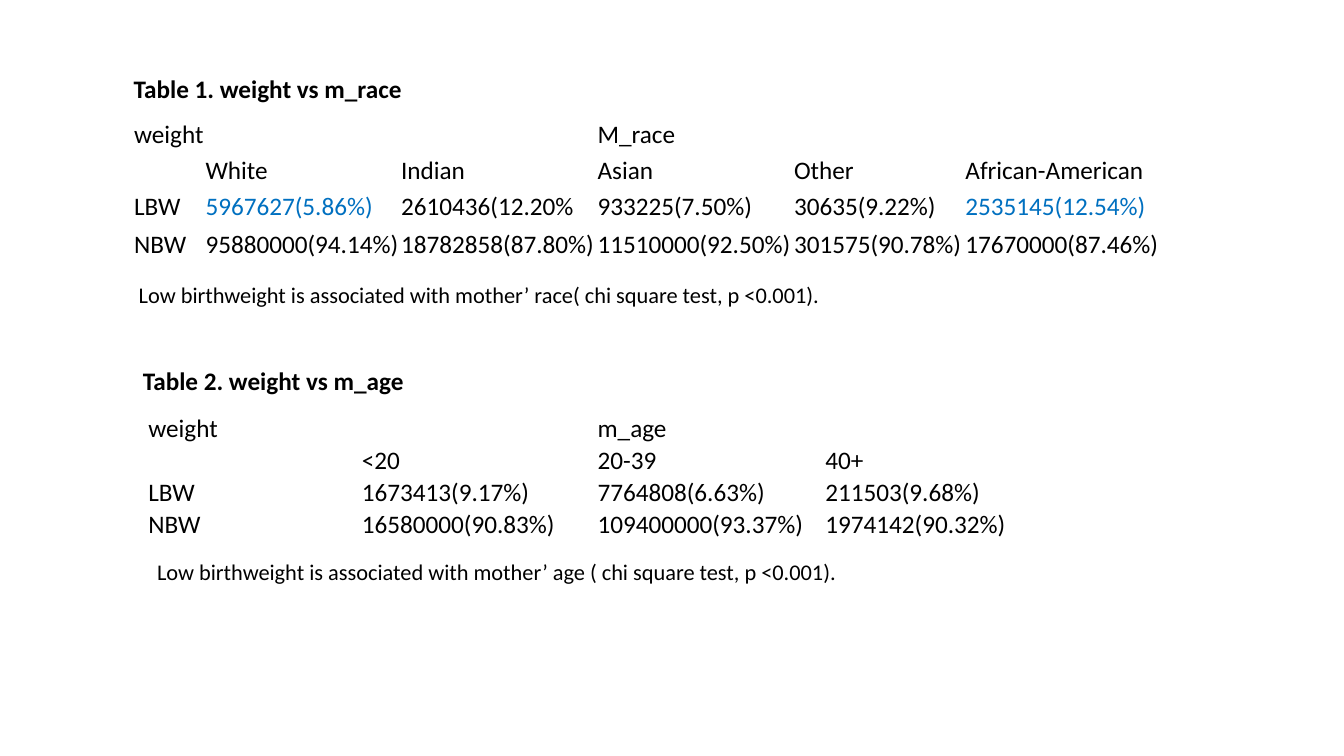
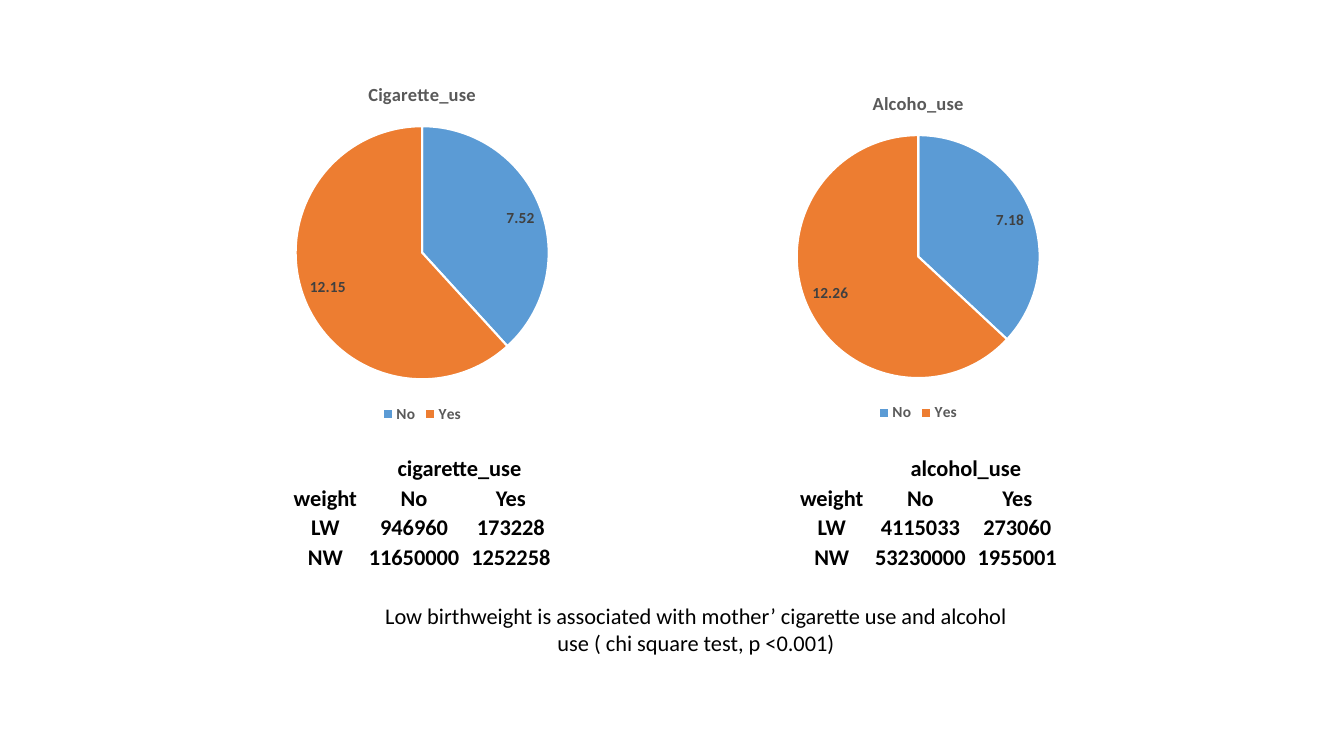
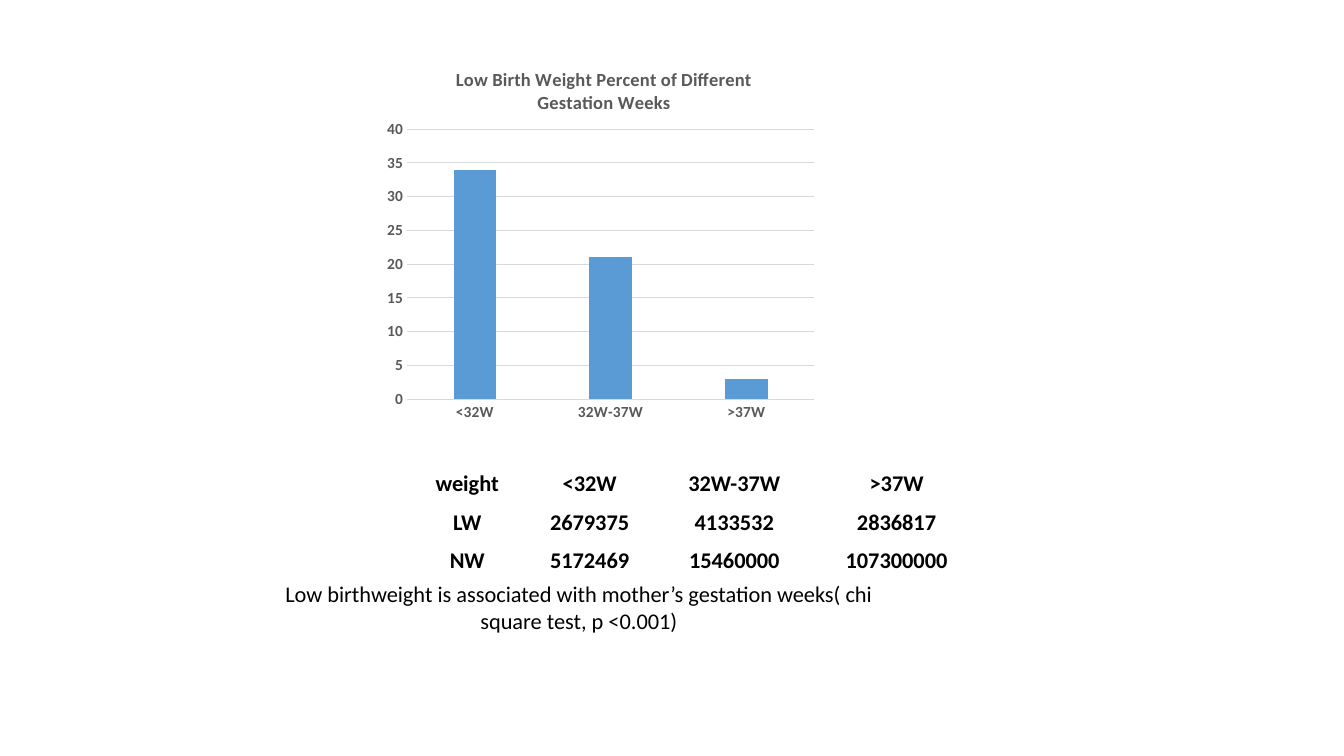
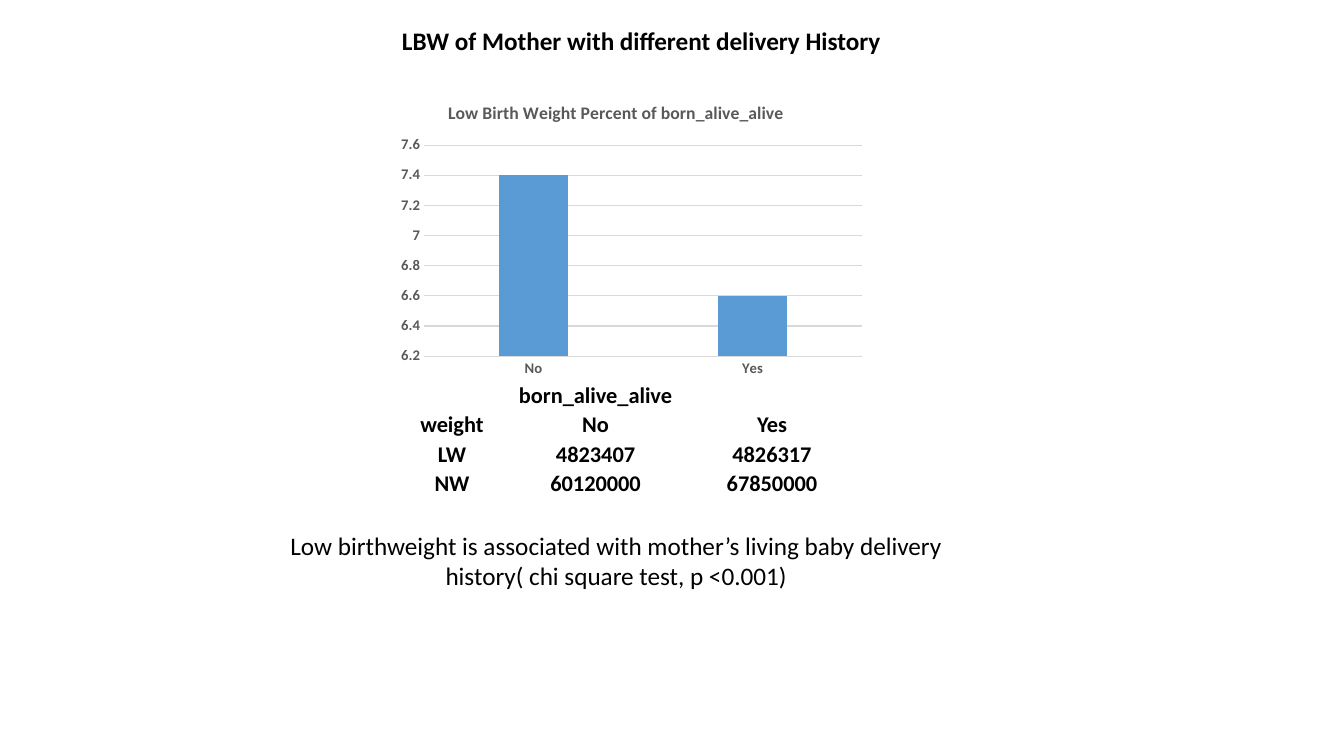
"""Build four slides on low birth weight and its associated factors."""
from dataclasses import dataclass

from lxml.etree import SubElement
from pptx import Presentation
from pptx.chart.data import CategoryChartData
from pptx.dml.color import RGBColor
from pptx.enum.chart import XL_CHART_TYPE as ChartType
from pptx.enum.chart import XL_LABEL_POSITION as LabelPosition
from pptx.enum.chart import XL_LEGEND_POSITION as LegendPosition
from pptx.enum.chart import XL_TICK_MARK as TickMark
from pptx.enum.text import MSO_ANCHOR as Anchor
from pptx.enum.text import MSO_AUTO_SIZE as AutoSize
from pptx.enum.text import PP_ALIGN as Align
from pptx.oxml.ns import qn
from pptx.util import Cm, Pt


@dataclass(frozen=True)
class Theme:
    """Hold the shared colours, type sizes and measures."""
    font: str = "Calibri"
    text: str = "000000"
    highlight: str = "0070C0"
    muted: str = "595959"
    label: str = "404040"
    grid: str = "D9D9D9"
    white: str = "FFFFFF"
    blue: str = "5B9BD5"
    orange: str = "ED7D31"
    large: float = 18
    normal: float = 16
    title_scale: float = 1.2
    cell_inset: float = 0.03


THEME = Theme()

SLIDES = [
    {
        "tables": [
            {
                "at": (3.35, 2.87), "columns": (1.8, 4.93, 4.95, 4.95, 4.32, 4.93),
                "row_heights": (0.91, 0.91, 0.91, 0.97), "merge": (0, 1),
                "highlight": {(2, 1), (2, 5)}, "large": True,
                "rows": [
                    ("weight", "", "", "M_race", "", ""),
                    ("", "White", "Indian", "Asian", "Other", "African-American"),
                    ("LBW", "5967627(5.86%)", "2610436(12.20%", "933225(7.50%)",
                     "30635(9.22%)", "2535145(12.54%)"),
                    ("NBW", "95880000(94.14%)", "18782858(87.80%)", "11510000(92.50%)",
                     "301575(90.78%)", "17670000(87.46%)"),
                ],
            },
            {
                "at": (3.71, 10.39), "columns": (5.38, 5.94, 5.74, 4.62),
                "row_heights": (0.74, 0.74, 0.76, 0.76), "large": True,
                "rows": [
                    ("weight", "", "m_age", ""),
                    ("", "<20", "20-39", "40+"),
                    ("LBW", "1673413(9.17%)", "7764808(6.63%)", "211503(9.68%)"),
                    ("NBW", "16580000(90.83%)", "109400000(93.37%)", "1974142(90.32%)"),
                ],
            },
        ],
        "headings": [
            ("Table 1. weight vs m_race", (3.12, 1.73, 7.39, 1.02)),
            ("Table 2. weight vs m_age", (3.35, 9.09, 7.14, 1.02)),
        ],
        "notes": [
            (" Low birthweight is associated with mother’ race( chi square test, p <0.001).",
             (3.12, 6.96, 17.88, 0.94), THEME.normal, Align.LEFT),
            ("Low birthweight is associated with mother’ age ( chi square test, p <0.001).",
             (3.71, 13.94, 18.31, 0.94), THEME.normal, Align.LEFT),
        ],
    },
    {
        "charts": [
            {"kind": "pie", "title": "Cigarette_use", "box": (4.72, 1.65, 11.84, 9.12),
             "size": 11, "values": {"No": 7.52, "Yes": 12.15}},
            {"kind": "pie", "title": "Alcoho_use", "box": (17.22, 1.88, 11.84, 8.86),
             "size": 11, "values": {"No": 7.18, "Yes": 12.26}},
        ],
        "tables": [
            {
                "at": (left, 11.43), "columns": (1.88, 2.59, 2.29),
                "row_heights": (0.74,) * 4, "merge": (1, 2),
                "rows": [("", name, ""), ("weight", "No", "Yes"),
                         ("LW", *low), ("NW", *normal)],
            }
            for left, name, low, normal in (
                (7.26, "cigarette_use", ("946960", "173228"), ("11650000", "1252258")),
                (20.02, "alcohol_use", ("4115033", "273060"), ("53230000", "1955001")),
            )
        ],
        "notes": [
            ("Low birthweight is associated with mother’ cigarette use and alcohol use "
             "( chi square test, p <0.001)",
             (9.07, 15.06, 16.94, 1.63), THEME.normal, Align.CENTER),
        ],
    },
    {
        "charts": [
            {"kind": "column", "title": "Low Birth Weight Percent of Different Gestation Weeks",
             "box": (9.58, 1.27, 11.28, 9.45), "size": 11,
             "values": {"<32W": 34, "32W-37W": 21, ">37W": 3},
             "scale": (0, 40, 5), "plot": (0.06, 0.21, 0.91, 0.72)},
        ],
        "tables": [
            {
                "at": (10.39, 11.63), "columns": (2.77, 3.4, 3.89, 4.29),
                "row_heights": (0.91, 0.97, 0.97),
                "rows": [
                    ("weight", "<32W", "32W-37W", ">37W"),
                    ("LW", "2679375", "4133532", "2836817"),
                    ("NW", "5172469", "15460000", "107300000"),
                ],
            },
        ],
        "notes": [
            ("Low birthweight is associated with mother’s gestation weeks"
             "( chi square test, p <0.001)",
             (6.12, 14.5, 16.94, 1.63), THEME.normal, Align.CENTER),
        ],
    },
    {
        "charts": [
            {"kind": "column", "title": "Low Birth Weight Percent of born_alive_alive",
             "box": (9.32, 2.18, 12.42, 7.39), "size": 10.5,
             "values": {"No": 7.4, "Yes": 6.6},
             "scale": (6.2, 7.6, 0.2), "plot": (0.11, 0.2, 0.89, 0.72)},
        ],
        "headings": [
            ("LBW of Mother with different delivery History", (9.88, 0.51, 12.7, 1.02)),
        ],
        "tables": [
            {
                "at": (9.93, 9.58), "columns": (2.92, 4.32, 4.57),
                "row_heights": (0.74,) * 4,
                "rows": [
                    ("", "born_alive_alive", ""),
                    ("weight", "No", "Yes"),
                    ("LW", "4823407", "4826317"),
                    ("NW", "60120000", "67850000"),
                ],
            },
        ],
        "notes": [
            ("Low birthweight is associated with mother’s living baby delivery history"
             "( chi square test, p <0.001)",
             (7.06, 13.23, 16.94, 1.8), THEME.large, Align.CENTER),
        ],
    },
]


def lengths(values):
    """Turn centimetre numbers into lengths."""
    return [Cm(value) for value in values]


def style_font(font, size, color=THEME.text, bold=False):
    """Apply the shared typeface with a size, colour and weight."""
    font.name = THEME.font
    font.size = Pt(size)
    font.bold = bold
    font.color.rgb = RGBColor.from_string(color)


def add_text(slide, text, box, size, align=Align.LEFT, bold=False, wrap=True):
    """Add a one-paragraph text box."""
    frame = slide.shapes.add_textbox(*lengths(box)).text_frame
    frame.word_wrap = wrap
    frame.auto_size = AutoSize.SHAPE_TO_FIT_TEXT
    paragraph = frame.paragraphs[0]
    paragraph.text = text
    paragraph.alignment = align
    style_font(paragraph.font, size, bold=bold)


def add_data_table(slide, data):
    """Add a plain table without fills."""
    rows, columns, heights = data["rows"], data["columns"], data["row_heights"]
    large = data.get("large", False)
    box = lengths((*data["at"], sum(columns), sum(heights)))
    table = slide.shapes.add_table(len(rows), len(columns), *box).table
    table.first_row = table.horz_banding = False
    for column, width in zip(table.columns, columns):
        column.width = Cm(width)
    for row, height in zip(table.rows, heights):
        row.height = Cm(height)
    for row_index, row in enumerate(rows):
        for column_index, text in enumerate(row):
            cell = table.cell(row_index, column_index)
            cell.fill.background()
            cell.vertical_anchor = Anchor.BOTTOM
            cell.margin_left = cell.margin_right = cell.margin_top = Cm(THEME.cell_inset)
            cell.margin_bottom = 0
            paragraph = cell.text_frame.paragraphs[0]
            paragraph.text = text
            paragraph.alignment = Align.LEFT if large else Align.CENTER
            marked = (row_index, column_index) in data.get("highlight", ())
            style_font(paragraph.font, THEME.large if large else THEME.normal,
                       THEME.highlight if marked else THEME.text, not large)
    if "merge" in data:
        first, last = data["merge"]
        table.cell(0, first).merge(table.cell(0, last))


def style_pie(chart, data):
    """Colour the slices, label them and add the legend."""
    plot = chart.plots[0]
    plot.vary_by_categories = True
    for index, color in enumerate((THEME.blue, THEME.orange)):
        slice_format = plot.series[0].points[index].format
        slice_format.fill.solid()
        slice_format.fill.fore_color.rgb = RGBColor.from_string(color)
        slice_format.line.color.rgb = RGBColor.from_string(THEME.white)
        slice_format.line.width = Pt(1.5)
    plot.has_data_labels = True
    labels = plot.data_labels
    labels.show_value = True
    labels.show_percentage = False
    labels.position = LabelPosition.INSIDE_END
    style_font(labels.font, data["size"], THEME.label, True)
    chart.has_legend = True
    chart.legend.position = LegendPosition.BOTTOM
    chart.legend.include_in_layout = False
    style_font(chart.legend.font, data["size"], THEME.muted, True)


def place_plot(chart, fractions):
    """Fix the inner plot area as fractions of the chart."""
    area = chart.plots[0]._element.getparent()
    layout = area.find(qn("c:layout"))
    if layout is None:
        layout = SubElement(area, qn("c:layout"))
        area.insert(0, layout)
    manual = SubElement(layout, qn("c:manualLayout"))
    settings = [("layoutTarget", "inner"), ("xMode", "edge"), ("yMode", "edge"),
                *zip("xywh", fractions)]
    for name, value in settings:
        SubElement(manual, qn(f"c:{name}")).set("val", str(value))


def style_columns(chart, data):
    """Style the bars, both axes and the gridlines."""
    plot = chart.plots[0]
    plot.vary_by_categories = False
    plot.gap_width = 219
    plot.overlap = -27
    fill = plot.series[0].format.fill
    fill.solid()
    fill.fore_color.rgb = RGBColor.from_string(THEME.blue)
    category_axis, value_axis = chart.category_axis, chart.value_axis
    for axis in (category_axis, value_axis):
        axis.major_tick_mark = axis.minor_tick_mark = TickMark.NONE
        style_font(axis.tick_labels.font, data["size"], THEME.muted, True)
    value_axis.minimum_scale, value_axis.maximum_scale, value_axis.major_unit = data["scale"]
    value_axis.format.line.fill.background()
    for line in (category_axis.format.line, value_axis.major_gridlines.format.line):
        line.color.rgb = RGBColor.from_string(THEME.grid)
        line.width = Pt(0.75)
    place_plot(chart, data["plot"])


CHART_KINDS = {
    "pie": (ChartType.PIE, style_pie),
    "column": (ChartType.COLUMN_CLUSTERED, style_columns),
}


def add_data_chart(slide, data):
    """Add a titled single-series chart."""
    chart_type, style = CHART_KINDS[data["kind"]]
    chart_data = CategoryChartData()
    chart_data.categories = list(data["values"])
    chart_data.add_series(data["title"], list(data["values"].values()))
    chart = slide.shapes.add_chart(chart_type, *lengths(data["box"]), chart_data).chart
    style_font(chart.font, data["size"], bold=True)
    chart.has_legend = False
    chart.has_title = True
    paragraph = chart.chart_title.text_frame.paragraphs[0]
    paragraph.text = data["title"]
    style_font(paragraph.font, data["size"] * THEME.title_scale, THEME.muted, True)
    style(chart, data)


def main():
    """Build and save the presentation."""
    presentation = Presentation()
    presentation.slide_width, presentation.slide_height = Cm(33.87), Cm(19.05)
    for content in SLIDES:
        slide = presentation.slides.add_slide(presentation.slide_layouts[6])
        for chart in content.get("charts", ()):
            add_data_chart(slide, chart)
        for table in content["tables"]:
            add_data_table(slide, table)
        for text, box in content.get("headings", ()):
            add_text(slide, text, box, THEME.large, bold=True, wrap=False)
        for text, box, size, align in content["notes"]:
            add_text(slide, text, box, size, align)
    presentation.save("out.pptx")


if __name__ == "__main__":
    main()
